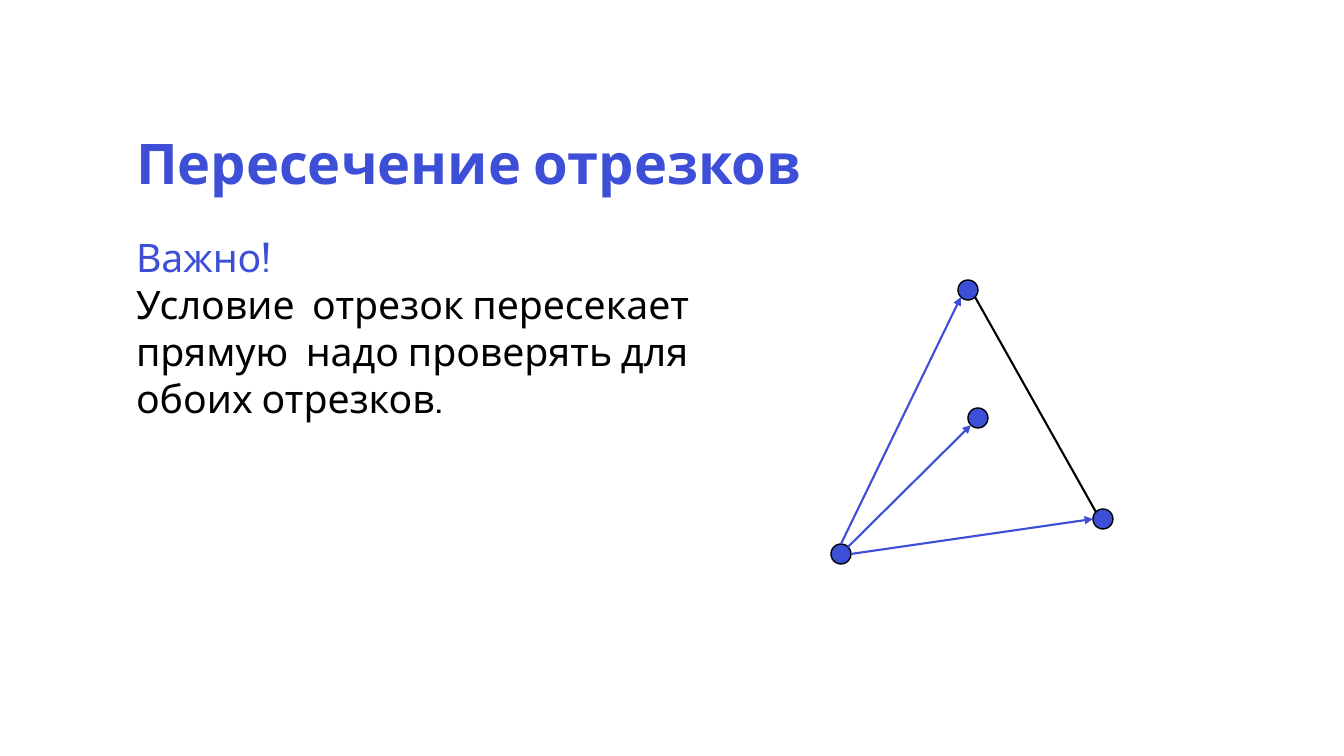
from math import cos, radians, sin

from lxml.etree import SubElement
from pptx import Presentation
from pptx.dml.color import RGBColor
from pptx.enum.shapes import MSO_CONNECTOR, MSO_SHAPE
from pptx.enum.text import MSO_ANCHOR, MSO_AUTO_SIZE, PP_ALIGN
from pptx.oxml.ns import qn
from pptx.util import Emu, Pt

BLUE, BLACK, WHITE = "3D4ED7", "000000", "FFFFFF"
FONT = "Cabin"
PAGE_SIZE = (1344, 756)
DOT_RADIUS = 10

TITLE = [("Пересечение отрезков", BLUE)]
BODY = [
    ("Важно!", BLUE),
    ("Условие  отрезок пересекает прямую  надо проверять для обоих отрезков.", BLACK),
]
TITLE_BOX = (126, 126, 1094, 81)
BODY_BOX = (126, 228, 594, 200)

# Dot centres
DOTS = {
    "start": (841, 554),
    "inner": (978, 418),
    "apex": (968, 290),
    "right": (1103, 519),
}
# From dot, angle on its rim, to dot, angle on its rim, colour, arrowhead
SEGMENTS = [
    ("start", 45, "inner", 225, BLUE, True),
    ("right", 135, "apex", 315, BLACK, False),
    ("start", 90, "apex", 225, BLUE, True),
    ("start", 0, "right", 180, BLUE, True),
]


def px(length):
    return Emu(round(length * 914400 / 100.8))


def colour(code):
    return RGBColor.from_string(code)


def set_values(target, values):
    for name, value in values.items():
        setattr(target, name, value)


def fill_text(holder, box, lines, frame_format, font_format, line_spacing):
    set_values(holder, dict(zip(("left", "top", "width", "height"), map(px, box))))
    frame = holder.text_frame
    set_values(frame, {"word_wrap": True, **frame_format})
    for index, (text, code) in enumerate(lines):
        para = frame.add_paragraph() if index else frame.paragraphs[0]
        properties = para._p.get_or_add_pPr()
        properties.set("marL", "0")
        properties.set("indent", "0")
        SubElement(properties, qn("a:buNone"))
        set_values(para, {"alignment": PP_ALIGN.LEFT, "space_before": Pt(0),
                          "line_spacing": line_spacing})
        span = para.add_run()
        span.text = text
        set_values(span.font, {"name": FONT, **font_format})
        span.font.color.rgb = colour(code)


def rim_point(dot, angle):
    """Point on a dot's rim, with the angle counted anticlockwise from the right."""
    x, y = DOTS[dot]
    turn = radians(angle)
    return px(x + DOT_RADIUS * cos(turn)), px(y - DOT_RADIUS * sin(turn))


def add_dot(page, centre):
    x, y = centre
    size = px(2 * DOT_RADIUS)
    dot = page.shapes.add_shape(
        MSO_SHAPE.OVAL, px(x - DOT_RADIUS), px(y - DOT_RADIUS), size, size)
    dot.shadow.inherit = False
    dot.fill.solid()
    dot.fill.fore_color.rgb = colour(BLUE)
    dot.line.color.rgb = colour(BLACK)
    dot.line.width = Pt(1)


def add_segment(page, start, start_angle, end, end_angle, code, arrow):
    segment = page.shapes.add_connector(
        MSO_CONNECTOR.STRAIGHT, *rim_point(start, start_angle), *rim_point(end, end_angle))
    segment.line.color.rgb = colour(code)
    segment.line.width = Pt(1.5)
    if arrow:
        SubElement(segment.line._get_or_add_ln(), qn("a:tailEnd"), type="triangle")
    SubElement(segment._element.spPr, qn("a:effectLst"))


def main():
    deck = Presentation()
    deck.slide_width, deck.slide_height = map(px, PAGE_SIZE)
    page = deck.slides.add_slide(deck.slide_layouts[1])
    page.background.fill.solid()
    page.background.fill.fore_color.rgb = colour(WHITE)

    title, body = page.placeholders
    fill_text(title, TITLE_BOX, TITLE,
              {"auto_size": MSO_AUTO_SIZE.NONE, "vertical_anchor": MSO_ANCHOR.MIDDLE},
              {"size": Pt(40), "bold": True}, 0.9)
    fill_text(body, BODY_BOX, BODY,
              {"auto_size": MSO_AUTO_SIZE.SHAPE_TO_FIT_TEXT,
               "vertical_anchor": MSO_ANCHOR.TOP},
              {"size": Pt(28)}, 1.0)

    for centre in DOTS.values():
        add_dot(page, centre)
    for segment in SEGMENTS:
        add_segment(page, *segment)
    deck.save("out.pptx")


if __name__ == "__main__":
    main()
